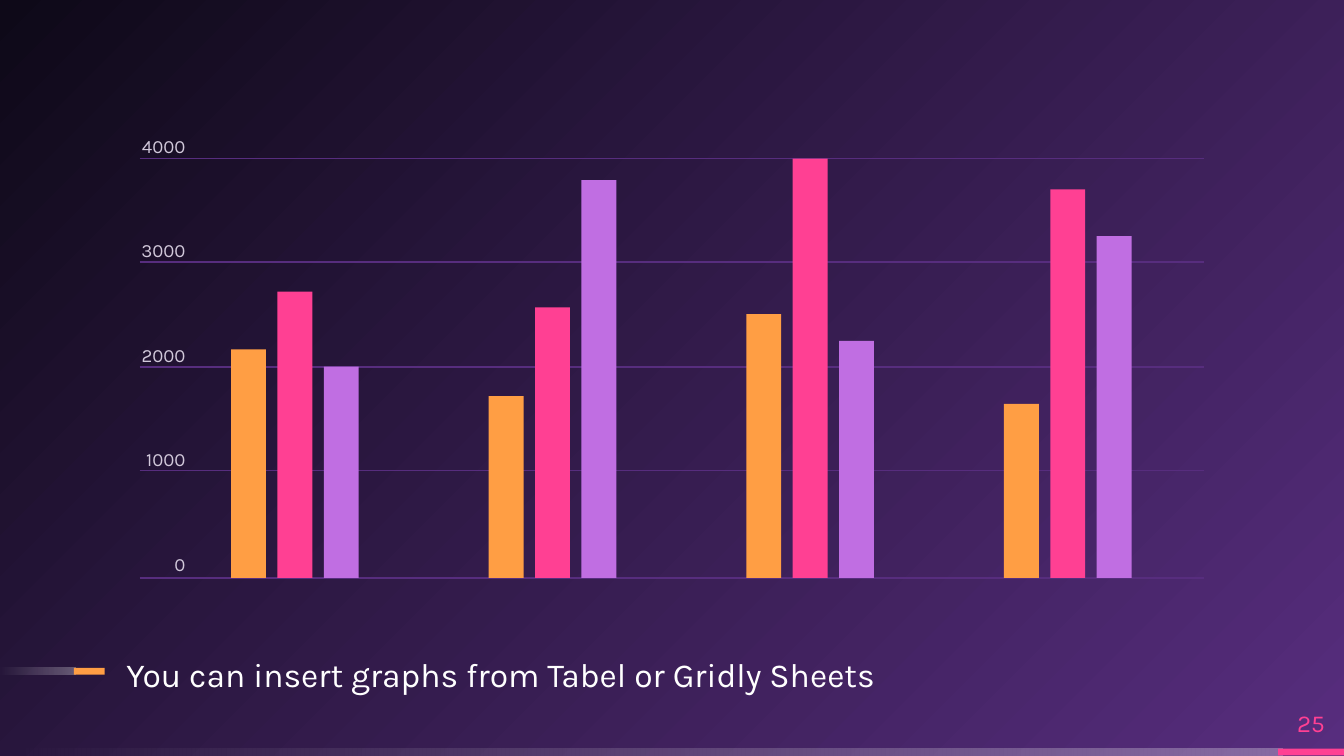
from lxml import etree
from pptx import Presentation
from pptx.dml.color import RGBColor
from pptx.enum import shapes, text
from pptx.oxml.ns import qn
from pptx.util import Inches, Pt

# Content
CAPTION = "You can insert graphs from Tabel or Gridly Sheets"
PAGE = "25"
TICKS = [("4000", 1.18), ("3000", 1.95), ("2000", 2.73), ("1000", 3.5), ("0", 4.3)]
GROUPS = [
    (2180, 2730, 2015),
    (1735, 2580, 3795),
    (2515, 4000, 2260),
    (1660, 3705, 3260),
]

# Theme and layout
THEME = {
    "font": "Karla", "white": "FFFFFF", "label": "D1C8DA", "grid": "572D7E",
    "dark": "0E0918", "orange": "FF9E44", "pink": "FF4093", "violet": "C06EE2",
    "caption": 18, "page": 13, "tick": 10,
}
SERIES = ("orange", "pink", "violet")
LEFT, RIGHT = 1.04, 8.96
BASE, TALL, PEAK = 4.3, 3.12, 4000
FIRST, WIDE = 1.72, 0.26
GAP, STEP = 5.75 / 3, 0.69 / 2


def color(name):
    return RGBColor.from_string(THEME[name])


def blend(fill, root, stops, kind, **attrs):
    """Fill with a gradient of (position, colour name, opacity) stops."""
    fill.gradient()
    grad = next(root.iter(qn("a:gradFill")))
    for part in list(grad):
        grad.remove(part)
    row = etree.SubElement(grad, qn("a:gsLst"))
    for pos, name, alpha in stops:
        stop = etree.SubElement(row, qn("a:gs"), pos=str(pos * 1000))
        tint = etree.SubElement(stop, qn("a:srgbClr"), val=THEME[name])
        if alpha < 100:
            etree.SubElement(tint, qn("a:alpha"), val=str(alpha * 1000))
    return etree.SubElement(grad, qn(kind), **attrs)


def block(x, y, w, h, name=None):
    """Add a bar, or a white fade when no colour is named."""
    bar = slide.shapes.add_shape(
        shapes.MSO_SHAPE.RECTANGLE, Inches(x), Inches(y), Inches(w), Inches(h))
    bar.shadow.inherit = False
    bar.line.fill.background()
    if name:
        bar.fill.solid()
        bar.fill.fore_color.rgb = color(name)
    else:
        blend(bar.fill, bar._element,
              [(0, "white", 30), (100, "white", 0)], "a:lin", ang="10800000")


def write(box, lines, size, name, anchor=text.MSO_ANCHOR.TOP, **style):
    """Write one paragraph a line, with shared paragraph settings."""
    frame = box.text_frame
    look = {"word_wrap": True, "auto_size": text.MSO_AUTO_SIZE.NONE,
            "vertical_anchor": anchor, "margin_left": 0, "margin_right": 0,
            "margin_top": 0, "margin_bottom": 0}
    for key, val in look.items():
        setattr(frame, key, val)
    frame.text = "\n".join(lines)
    for par in frame.paragraphs:
        for key, val in style.items():
            setattr(par, key, val)
        font = par.runs[0].font
        font.name, font.size = THEME["font"], Pt(THEME[size])
        font.color.rgb = color(name)
    return frame.paragraphs


def label(x, y, w, h):
    return slide.shapes.add_textbox(Inches(x), Inches(y), Inches(w), Inches(h))


# A 16:9 slide
deck = Presentation()
deck.slide_width = Inches(10)
deck.slide_height = deck.slide_width * 9 // 16
slide = deck.slides.add_slide(deck.slide_layouts[5])

# Background glow from the lower right corner
glow = blend(slide.background.fill, slide._element,
             [(0, "grid", 100), (100, "dark", 100)], "a:path", path="circle")
etree.SubElement(glow, qn("a:fillToRect"), l="100000", t="100000")

# Footer strip and caption accent
block(0, 5.57, 9.54, 0.05)
block(9.51, 5.57, 0.49, 0.05, "pink")
block(0, 4.97, 0.56, 0.05)
block(0.55, 4.97, 0.23, 0.05, "orange")

# Caption and page number
title = slide.shapes.title
spot = {"left": 0.94, "top": 4.82, "width": 8.13, "height": 0.34}
for key, val in spot.items():
    setattr(title, key, Inches(val))
write(title, [CAPTION], "caption", "white", alignment=text.PP_ALIGN.LEFT,
      line_spacing=1.15, space_after=Pt(8))
write(label(9.51, 5.19, 0.49, 0.38), [PAGE], "page", "pink",
      text.MSO_ANCHOR.MIDDLE, alignment=text.PP_ALIGN.CENTER)

# Grid lines
for _, y in TICKS:
    line = slide.shapes.add_connector(
        shapes.MSO_CONNECTOR.STRAIGHT,
        Inches(LEFT), Inches(y), Inches(RIGHT), Inches(y))
    line.line.color.rgb = color("grid")
    line.line.width = Pt(0.75)
    etree.SubElement(line._element.spPr, qn("a:effectLst"))

# Axis labels
marks = write(label(LEFT, 1, 0.34, 3.31), [tick for tick, _ in TICKS],
              "tick", "label", alignment=text.PP_ALIGN.RIGHT)
for mark in marks[1:]:
    mark.space_before = Pt(44)
marks[-1].space_after = Pt(44)

# Bars
for g, group in enumerate(GROUPS):
    for s, (name, value) in enumerate(zip(SERIES, group)):
        high = TALL * value / PEAK
        block(FIRST + g * GAP + s * STEP, BASE - high, WIDE, high, name)

deck.save("out.pptx")
